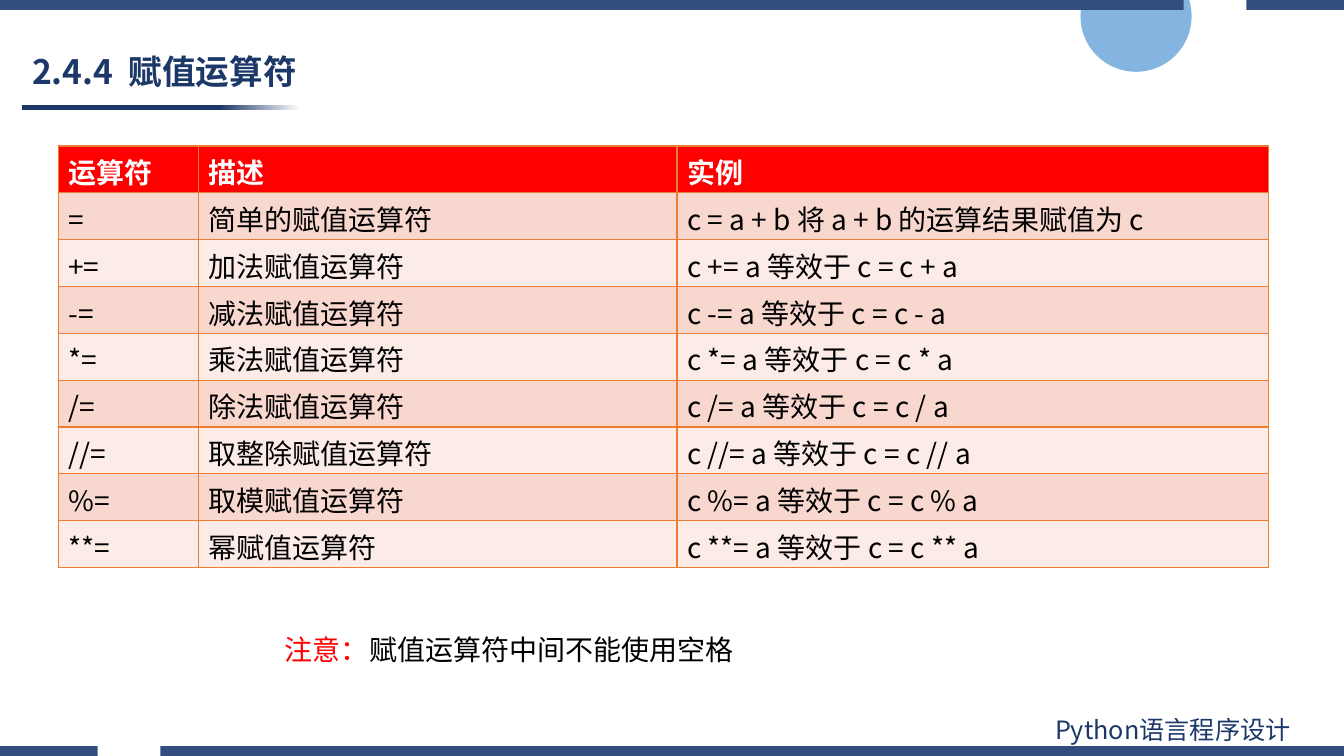
from lxml.etree import SubElement
from pptx import Presentation
from pptx.dml.color import RGBColor
from pptx.enum.shapes import MSO_SHAPE
from pptx.enum.text import MSO_ANCHOR
from pptx.oxml.ns import qn
from pptx.util import Cm, Pt

NAVY = RGBColor(0x1B, 0x38, 0x68)
BAR = RGBColor(0x33, 0x4D, 0x80)
SKY = RGBColor(0x5B, 0x9B, 0xD5)
RED = RGBColor(0xFF, 0x00, 0x00)
WHITE = RGBColor(0xFF, 0xFF, 0xFF)
BLACK = RGBColor(0x00, 0x00, 0x00)
ROSE = RGBColor(0xF8, 0xD7, 0xCE)
PALE = RGBColor(0xFC, 0xEC, 0xE8)
EDGE = RGBColor(0xED, 0x7D, 0x31)
FACE = "Noto Sans CJK SC"
WIDE, HIGH = 33.87, 19.05

HEAD = ("运算符", "描述", "实例")
FIRST = ("=", "简单的赋值运算符", "c = a + b 将 a + b 的运算结果赋值为 c")
KINDS = {"+": "加法", "-": "减法", "*": "乘法", "/": "除法",
         "//": "取整除", "%": "取模", "**": "幂"}


def add_run(para, text, size, color, bold=False):
    run = para.add_run()
    run.text = text
    look = {"name": FACE, "size": Pt(size), "bold": bold}
    for key, value in look.items():
        setattr(run.font, key, value)
    run.font.color.rgb = color
    SubElement(run.font._element, qn("a:ea"), typeface=FACE)


def add_text(slide, box, parts, size, bold=False, space=1.0,
             anchor=MSO_ANCHOR.TOP):
    frame = slide.shapes.add_textbox(*map(Cm, box)).text_frame
    for key, value in {"word_wrap": True, "vertical_anchor": anchor}.items():
        setattr(frame, key, value)
    para = frame.paragraphs[0]
    para.line_spacing = space
    for text, color in parts:
        add_run(para, text, size, color, bold)


def add_circle(slide, box):
    disc = slide.shapes.add_shape(MSO_SHAPE.OVAL, *map(Cm, box))
    disc.shadow.inherit = False
    disc.line.fill.background()
    disc.fill.solid()
    disc.fill.fore_color.rgb = SKY
    tint = disc._element.spPr.find(".//" + qn("a:srgbClr"))
    SubElement(tint, qn("a:alpha"), val="75000")


def add_bar(slide, box, gap):
    """A full-width strip, broken between the two gap positions."""
    left, top, width, height = box
    low = top + height
    rings = []
    for start, end in ((left, gap[0]), (gap[1], left + width)):
        ring = (start, top), (end, top), (end, low), (start, low)
        rings.append([(Cm(x), Cm(y)) for x, y in ring])
    pen = slide.shapes.build_freeform(*rings[0][0])
    pen.add_line_segments(rings[0][1:], close=True)
    pen.move_to(*rings[1][0])
    pen.add_line_segments(rings[1][1:], close=True)
    bar = pen.convert_to_shape()
    bar.shadow.inherit = False
    bar.line.fill.background()
    bar.fill.solid()
    bar.fill.fore_color.rgb = BAR


def add_title(slide, box, text):
    left, top, width, height = box
    # Fading rule under the heading
    rule = slide.shapes.add_shape(
        MSO_SHAPE.RECTANGLE, Cm(left), Cm(top + 1.51), Cm(7.01), Cm(0.13))
    rule.shadow.inherit = False
    rule.line.fill.background()
    rule.fill.gradient()
    rule.fill.gradient_angle = 0
    fade = ((0.71, NAVY), (1, WHITE))
    for stop, (place, color) in zip(rule.fill.gradient_stops, fade):
        stop.position = place
        stop.color.rgb = color
    # Heading
    add_text(slide, box, [(text, NAVY)], 24, True, 0.9, MSO_ANCHOR.MIDDLE)


def add_edges(cell):
    props = cell._tc.get_or_add_tcPr()
    for spot, side in enumerate(("a:lnL", "a:lnR", "a:lnT", "a:lnB")):
        line = props.makeelement(qn(side), {"w": str(Pt(1))})
        fill = SubElement(line, qn("a:solidFill"))
        SubElement(fill, qn("a:srgbClr"), val=str(EDGE))
        props.insert(spot, line)


def add_grid(slide, box, widths, rows):
    table = slide.shapes.add_table(
        len(rows), len(widths), *map(Cm, box)).table
    table.horz_banding = False
    for col, width in zip(table.columns, widths):
        col.width = Cm(width)
    for i, row in enumerate(rows):
        table.rows[i].height = Cm(box[3] / len(rows))
        top = i == 0
        shade = RED if top else (PALE, ROSE)[i % 2]
        for j, text in enumerate(row):
            cell = table.cell(i, j)
            cell.vertical_anchor = MSO_ANCHOR.MIDDLE
            cell.fill.solid()
            cell.fill.fore_color.rgb = shade
            add_edges(cell)
            add_run(cell.text_frame.paragraphs[0], text, 20,
                    WHITE if top else BLACK, top)


def main():
    deck = Presentation()
    deck.slide_width, deck.slide_height = Cm(WIDE), Cm(HIGH)
    slide = deck.slides.add_slide(deck.slide_layouts[6])

    # Frame of the page
    add_circle(slide, (27.23, -0.99, 2.8, 2.8))
    add_bar(slide, (0, HIGH - 0.25, WIDE, 0.25), (2.46, 4.04))
    add_bar(slide, (0, 0, WIDE, 0.25), (WIDE - 4.04, WIDE - 2.46))
    add_text(slide, (26.34, 17.88, 7.47, 1.02),
             [("Python语言程序设计", NAVY)], 18)

    # Heading, table and note
    add_title(slide, (0.56, 1.14, 15.34, 1.42), "2.4.4  赋值运算符")
    rows = [HEAD, FIRST]
    for sign, kind in KINDS.items():
        rows.append((f"{sign}=", f"{kind}赋值运算符",
                     f"c {sign}= a 等效于 c = c {sign} a"))
    add_grid(slide, (1.47, 3.68, 30.5, 10.62), (3.53, 12.06, 14.91), rows)
    add_text(slide, (6.93, 15.9, 16, 1.4),
             [("注意：", RED), ("赋值运算符中间不能使用空格", BLACK)],
             20, space=0.9)

    deck.save("out.pptx")


if __name__ == "__main__":
    main()
